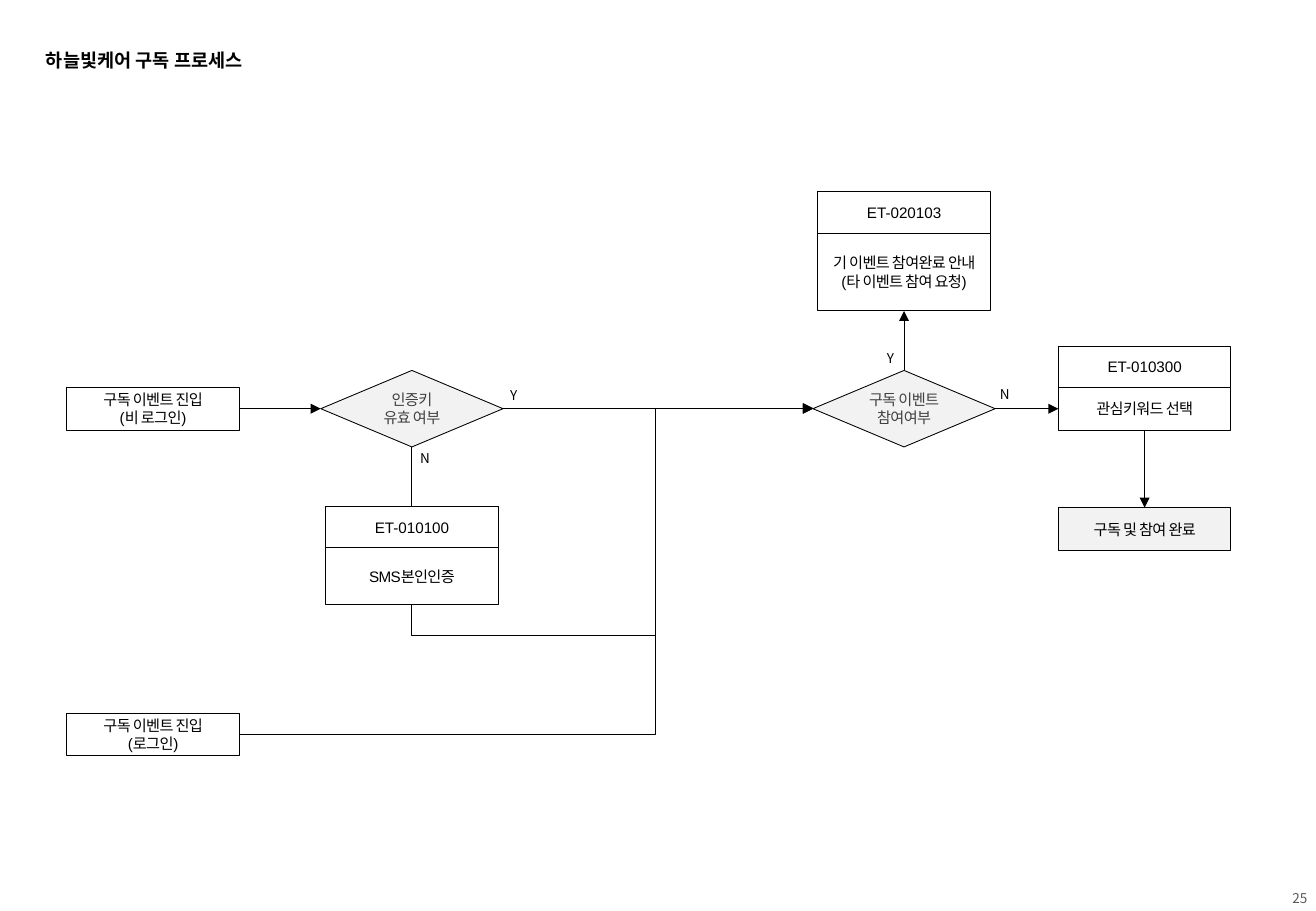
import pptx
import pptx.util
import pptx.dml.color
import pptx.enum.shapes
import pptx.enum.text
import pptx.oxml
import pptx.oxml.ns
from dataclasses import dataclass

SCALE = 9144  # EMU in one px, 100 px to the inch
SHAPE = pptx.enum.shapes.MSO_SHAPE
LINK = pptx.enum.shapes.MSO_CONNECTOR
ALIGN = pptx.enum.text.PP_ALIGN
ANCHOR = pptx.enum.text.MSO_ANCHOR
TOP, LEFT, BOTTOM, RIGHT = range(4)
BOX_W, ENTRY_H, HEAD_H = 142, 35, 34
GATE_W, GATE_H = 150, 63
INSET = (GATE_W - BOX_W) // 2


@dataclass(frozen=True)
class Theme:
    ink: str = "000000"
    soft: str = "404040"
    pale: str = "595959"
    white: str = "FFFFFF"
    grey: str = "F2F2F2"
    body: str = "Arial"
    title: str = "Calibri"
    label: str = "Noto Sans CJK KR"
    title_size: int = 11
    body_size: int = 9
    label_size: int = 8
    line: float = 0.5
    tight: int = -40


THEME = Theme()


def px(*values):
    return [round(value * SCALE) for value in values]


def paint(color, code):
    color.rgb = pptx.dml.color.RGBColor.from_string(code)


def apply(target, values):
    for name, value in values.items():
        setattr(target, name, value)


def write(shape, lines, font, size, code, align, bold=False, tight=0):
    frame = shape.text_frame
    frame.text = "\n".join(lines)
    for para in frame.paragraphs:
        para.alignment = align
        for run in para.runs:
            apply(run.font, {"name": font, "size": pptx.util.Pt(size), "bold": bold})
            paint(run.font.color, code)
            if tight:
                run._r.get_or_add_rPr().set("spc", str(tight))


def add_box(slide, kind, box, lines, fill=THEME.white, ink=THEME.ink, tight=THEME.tight):
    shape = slide.shapes.add_shape(kind, *px(*box))
    shape.shadow.inherit = False
    shape.fill.solid()
    paint(shape.fill.fore_color, fill)
    paint(shape.line.color, THEME.ink)
    shape.line.width = pptx.util.Pt(THEME.line)
    apply(shape.text_frame, {
        "margin_left": 0, "margin_right": 0, "margin_top": 0, "margin_bottom": 0,
        "word_wrap": True, "vertical_anchor": ANCHOR.MIDDLE})
    write(shape, lines, THEME.body, THEME.body_size, ink, ALIGN.CENTER, tight=tight)
    return shape


def add_text(slide, box, text, font, size, code, align=ALIGN.LEFT, bold=False):
    shape = slide.shapes.add_textbox(*px(*box))
    shape.text_frame.word_wrap = False
    write(shape, [text], font, size, code, align, bold)
    return shape


def add_label(slide, x, y, text):
    add_text(slide, (x, y, 28, 24), text, THEME.label, THEME.label_size, THEME.ink)


def add_link(slide, kind, ends, arrow=True):
    link = slide.shapes.add_connector(kind, *px(*ends))
    paint(link.line.color, THEME.ink)
    link.line.width = pptx.util.Pt(THEME.line)
    props = link._element.spPr
    if arrow:
        tail = pptx.oxml.parse_xml(
            f'<a:tailEnd {pptx.oxml.ns.nsdecls("a")} type="triangle"/>')
        link.line._get_or_add_ln().append(tail)
    props.append(pptx.oxml.parse_xml(f'<a:effectLst {pptx.oxml.ns.nsdecls("a")}/>'))
    return link


def join(slide, start, side, end, port, arrow=True):
    link = add_link(slide, LINK.STRAIGHT, (0, 0, 0, 0), arrow)
    link.begin_connect(start, side)
    link.end_connect(end, port)


def bend(link, preset, ratios, turn=0):
    props = link._element.spPr
    props.xfrm.set("rot", str(turn * 60000))
    shape = props.find(pptx.oxml.ns.qn("a:prstGeom"))
    shape.set("prst", preset)
    guides = shape.get_or_add_avLst()
    for index, ratio in enumerate(ratios, 1):
        guides.append(pptx.oxml.parse_xml(
            f'<a:gd {pptx.oxml.ns.nsdecls("a")} name="adj{index}" '
            f'fmla="val {round(ratio * 100000)}"/>'))


def add_step(slide, x, y, height, code, lines):
    """A screen code above the screen's text."""
    body = add_box(slide, SHAPE.RECTANGLE, (x, y + HEAD_H, BOX_W, height), lines)
    head = add_box(slide, SHAPE.RECTANGLE, (x, y, BOX_W, HEAD_H), [code], tight=0)
    return head, body


def add_gate(slide, x, y, lines):
    return add_box(slide, SHAPE.FLOWCHART_DECISION, (x, y, GATE_W, GATE_H), lines,
                   THEME.grey, THEME.soft)


def add_entry(slide, x, y, state):
    return add_box(slide, SHAPE.RECTANGLE, (x, y, BOX_W, ENTRY_H),
                   ["구독 이벤트 진입", f"({state})"])


# Key check, with sign-in by text message below it
def add_check(slide, x, y):
    gate = add_gate(slide, x, y, ["인증키", "유효 여부"])
    head, body = add_step(slide, x + INSET, y + 112, 47, "ET-010100", ["SMS본인인증"])
    join(slide, gate, BOTTOM, head, TOP, arrow=False)
    add_label(slide, x + 146, y + 9, "Y")
    add_label(slide, x + 72, y + 61, "N")
    return gate


# Event check, with the notice above it
def add_event(slide, x, y):
    head, body = add_step(slide, x + INSET, y, 64, "ET-020103",
                          ["기 이벤트 참여완료 안내", "(타 이벤트 참여 요청)"])
    gate = add_gate(slide, x, y + 147, ["구독 이벤트", "참여여부"])
    join(slide, gate, TOP, body, BOTTOM)
    add_label(slide, x + 51, y + 125, "Y")
    add_label(slide, x + 144, y + 155, "N")
    return gate


# Keyword choice and the end of the process
def add_finish(slide, x, y):
    head, body = add_step(slide, x, y, ENTRY_H, "ET-010300", ["관심키워드 선택"])
    done = add_box(slide, SHAPE.RECTANGLE, (x, y + 133, BOX_W, ENTRY_H),
                   ["구독 및 참여 완료"], THEME.grey)
    join(slide, body, BOTTOM, done, TOP)
    return body


# Title and page number
def add_frame(slide, width, height):
    add_text(slide, (28, 35, 199, 29), "하늘빛케어 구독 프로세스", THEME.title,
             THEME.title_size, THEME.ink, bold=True)
    page = add_text(slide, (width - 73, height - 23, 73, 24), "25", THEME.label,
                    THEME.label_size, THEME.pale, ALIGN.RIGHT)
    apply(page.text_frame, {"word_wrap": True, "margin_right": px(7)[0],
                            "vertical_anchor": ANCHOR.MIDDLE})


# The flow from left to right
def add_flow(slide, x, y):
    guest = add_entry(slide, x, y + 161, "비 로그인")
    add_entry(slide, x, y + 429, "로그인")
    check = add_check(slide, x + 209, y + 147)
    event = add_event(slide, x + 614, y)
    finish = add_finish(slide, x + 816, y + 127)
    for start, end in ((guest, check), (check, event), (event, finish)):
        join(slide, start, RIGHT, end, LEFT)
    # Bent routes into the event check
    member = add_link(slide, LINK.ELBOW, (x + BOX_W, y + 446.5, x + 614, y + 178.5))
    bend(member, "bentConnector3", [0.726])
    signed = add_link(slide, LINK.ELBOW, (x + 530, y + 424, x + 368, y + 94))
    bend(signed, "bentConnector4", [-0.155, 0.607], 90)


def main():
    width, height = 1083, 750
    deck = pptx.Presentation()
    deck.slide_width, deck.slide_height = px(width, height)
    slide = deck.slides.add_slide(deck.slide_layouts[6])
    add_frame(slide, width, height)
    add_flow(slide, 55, 158)
    deck.save("out.pptx")


if __name__ == "__main__":
    main()
